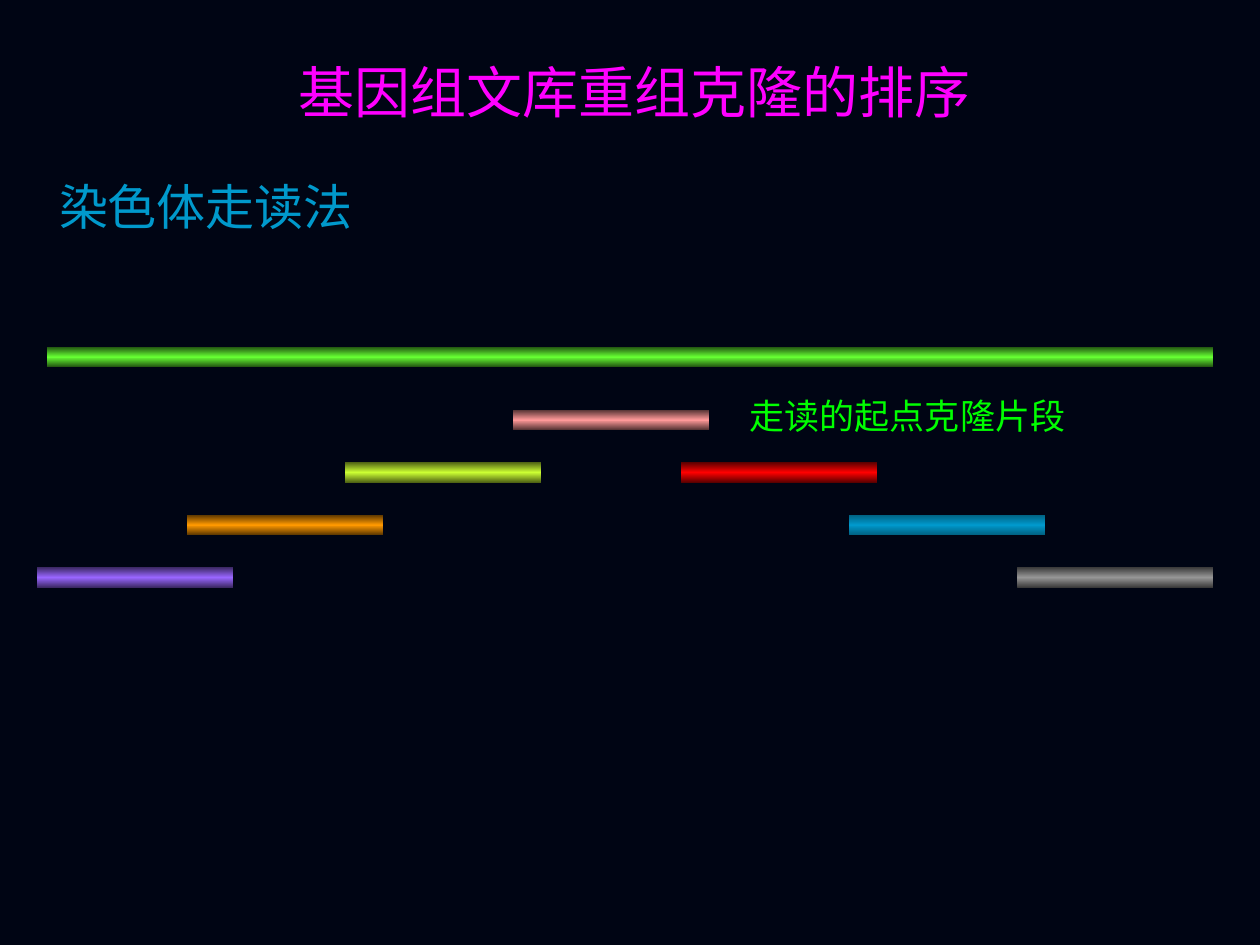
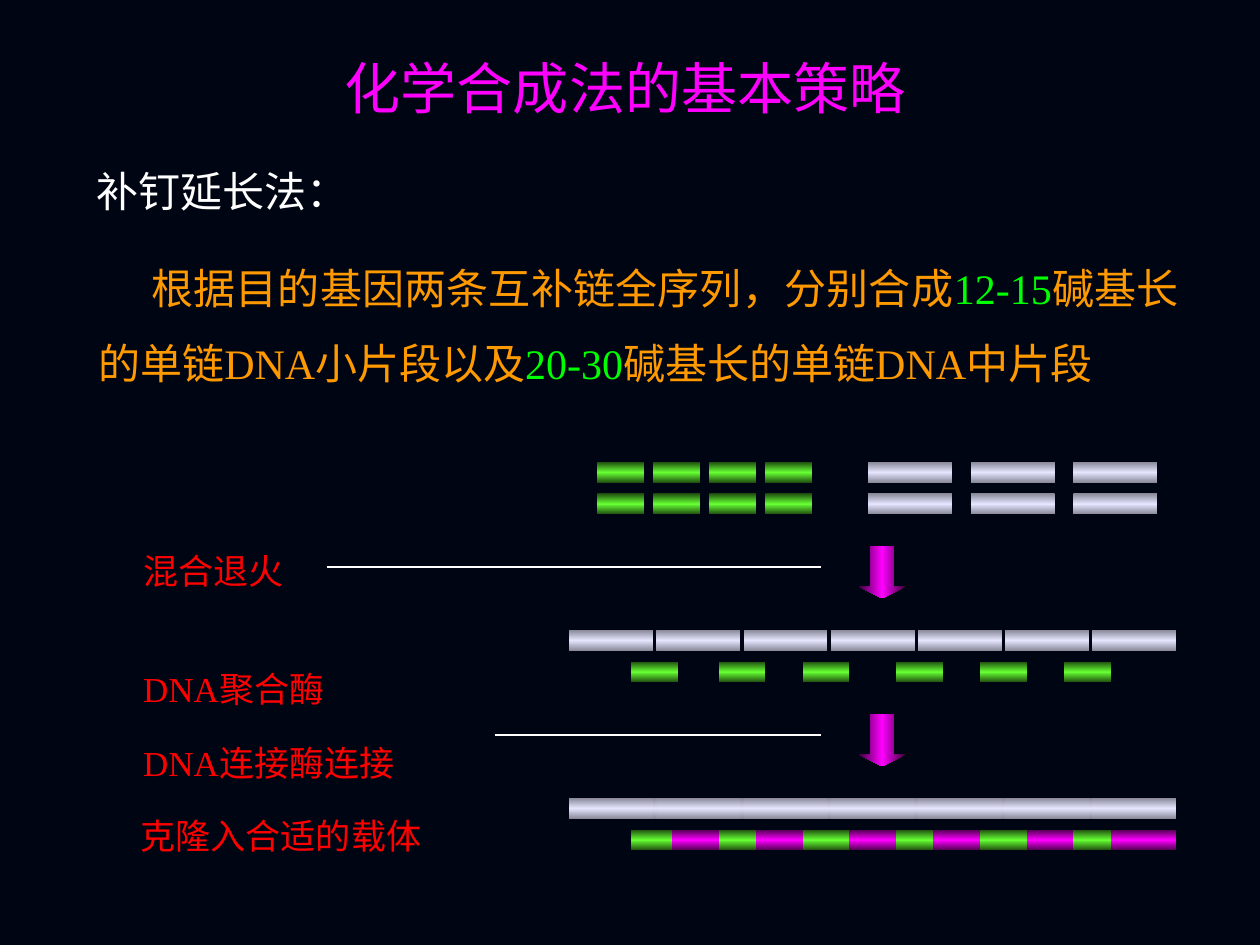
from copy import deepcopy
from dataclasses import dataclass

from lxml import etree
from pptx import Presentation, util as u
from pptx.dml.color import RGBColor
from pptx.enum import shapes, text
from pptx.oxml.ns import qn

WIDTH, HEIGHT = u.Inches(10), u.Inches(7.5)
COLUMN, ROW = WIDTH / 27, HEIGHT / 90
BAR_ROWS = 2
SANS, SERIF = "Arial", "Times New Roman"
COLORS = {
    "background": "000514", "title": "FF00FF", "heading": "0099CC", "white": "FFFFFF",
    "green": "00FF00", "orange": "FF9900", "red": "FF0000",
}
GRADIENTS = {
    "pink": ("4C2E2E", "FF9999"), "green": ("1E4C0F", "66FF33"),
    "lime": ("4B5E13", "CCFF33"), "red": ("550000", "FF0000"),
    "orange": ("553300", "FF9900"), "blue": ("005F7F", "0099CC"),
    "violet": ("38265E", "9966FF"), "gray": ("373737", "969696"),
    "silver": ("878797", "E5E5FF"), "joined": ("818190", "E5E5FF"),
    "magenta": ("4C004C", "FF00FF"), "arrow": ("3C003C", "FF00FF"),
}


@dataclass(frozen=True)
class Box:
    column: float
    row: float
    columns: float
    rows: float

    def lengths(self) -> list[int]:
        return [round(self.column * COLUMN), round(self.row * ROW),
                round(self.columns * COLUMN), round(self.rows * ROW)]


@dataclass(frozen=True)
class Strand:
    gradient: str
    row: float
    starts: list[float]
    columns: float


@dataclass(frozen=True)
class Step:
    label: str
    box: Box


def color(name: str) -> RGBColor:
    return RGBColor.from_string(COLORS[name])


def add_slide(presentation):
    slide = presentation.slides.add_slide(presentation.slide_layouts[6])
    slide.background.fill.solid()
    slide.background.fill.fore_color.rgb = color("background")
    return slide


def add_text(slide, box: Box, *runs: tuple[str, str], size: float, font: str,
             spacing: float = 1.5, align=text.PP_ALIGN.LEFT, indent: float = 0) -> None:
    frame = slide.shapes.add_textbox(*box.lengths()).text_frame
    frame.word_wrap = True
    paragraph = frame.paragraphs[0]
    paragraph.alignment, paragraph.line_spacing = align, spacing
    if indent:
        paragraph._p.get_or_add_pPr().set("indent", str(u.Inches(indent)))
    for words, name in runs:
        run = paragraph.add_run()
        run.text = words
        run.font.size, run.font.name = u.Pt(size), font
        run.font.color.rgb = color(name)


def add_title(slide, words: str, box: Box, spacing: float) -> None:
    add_text(slide, box, (words, "title"), size=32, font=SANS,
             spacing=spacing, align=text.PP_ALIGN.CENTER)


def add_gradient_shape(slide, box: Box, gradient: str, angle: float = 90,
                       kind=shapes.MSO_SHAPE.RECTANGLE):
    shape = slide.shapes.add_shape(kind, *box.lengths())
    shape.shadow.inherit = False
    shape.line.fill.background()
    shape.fill.gradient()
    shape.fill.gradient_angle = angle
    edge, core = GRADIENTS[gradient]
    stop_list = shape._element.spPr.find(qn("a:gradFill")).find(qn("a:gsLst"))
    stop_list.append(deepcopy(stop_list[-1]))
    for stop, position, value in zip(shape.fill.gradient_stops, (0, 0.5, 1), (edge, core, edge)):
        stop.position = position
        stop.color.rgb = RGBColor.from_string(value)
    return shape


def add_strand(slide, strand: Strand) -> None:
    for start in strand.starts:
        add_gradient_shape(slide, Box(start, strand.row, strand.columns, BAR_ROWS), strand.gradient)


def add_arrow(slide, row: float) -> None:
    arrow = add_gradient_shape(slide, Box(18.4, row, 1, 5), "arrow", 0,
                               shapes.MSO_SHAPE.DOWN_ARROW)
    arrow.adjustments[0], arrow.adjustments[1] = 0.5, 0.25


def add_rule(slide, start: float, end: float, row: float) -> None:
    rule = slide.shapes.add_connector(
        shapes.MSO_CONNECTOR.STRAIGHT, round(start * COLUMN), round(row * ROW),
        round(end * COLUMN), round(row * ROW))
    rule.line.color.rgb = color("white")
    rule.line.width = u.Pt(0.75)
    etree.SubElement(rule._element.spPr, qn("a:effectLst"))


def evenly(first: float, pitch: float, count: int) -> list[float]:
    return [first + pitch * index for index in range(count)]


def build_walking(presentation) -> None:
    slide = add_slide(presentation)
    add_title(slide, "基因组文库重组克隆的排序", Box(2.6, 4.9, 22, 9), 1)
    add_text(slide, Box(1, 13.4, 18.8, 9.2), ("染色体走读法", "heading"), size=28, font=SANS)
    add_text(slide, Box(15.8, 35, 7.6, 7), ("走读的起点克隆片段", "green"), size=20, font=SANS)
    add_strand(slide, Strand("green", 33, [1], 25))
    clones = [("pink", 11, 0), ("lime", 7.4, 1), ("red", 14.6, 1), ("orange", 4, 2),
              ("blue", 18.2, 2), ("violet", 0.8, 3), ("gray", 21.8, 3)]
    for gradient, start, level in clones:
        add_strand(slide, Strand(gradient, 39 + 5 * level, [start], 4.2))


def build_synthesis(presentation) -> None:
    slide = add_slide(presentation)
    add_title(slide, "化学合成法的基本策略", Box(6.4, 1.3, 14, 11), 1.5)
    add_text(slide, Box(1.8, 12.8, 6.2, 9.2), ("补钉延长法：", "white"), size=24, font=SERIF)
    add_text(slide, Box(1.84, 22, 23.68, 17),
             ("根据目的基因两条互补链全序列，分别合成", "orange"), ("12-15", "green"),
             ("碱基长的单链DNA小片段以及", "orange"), ("20-30", "green"),
             ("碱基长的单链DNA中片段", "orange"),
             size=24, font=SERIF, align=text.PP_ALIGN.JUSTIFY, indent=0.42)

    steps = [
        Step("混合退火", Box(2.8, 49.7, 3.8, 9.2)),
        Step("DNA聚合酶", Box(2.8, 61, 5.6, 9.2)),
        Step("DNA连接酶连接", Box(2.8, 68, 7.6, 9.2)),
        Step("克隆入合适的载体", Box(2.75, 75, 7.2, 9.2)),
    ]
    for step in steps:
        add_text(slide, step.box, (step.label, "red"), size=20, font=SERIF)

    long_starts = evenly(12.2, 11.2 / 6, 7)
    short_starts = [13.53, 15.4, 17.2, 19.2, 21, 22.8]
    strands = [Strand("joined", 76, [12.2, 13.1, *evenly(14, 1, 10)], 1)]
    for row in (44, 47):
        strands += [Strand("green", row, evenly(12.8, 1.2, 4), 1),
                    Strand("silver", row, evenly(18.6, 2.2, 3), 1.8)]
    for row in (60, 76):
        strands += [Strand("silver", row, long_starts, 1.8),
                    Strand("green", row + 3, short_starts, 1)]
    strands += [Strand("magenta", 79, [14.4, 16.2, 18.2, 20, 22], 1),
                Strand("magenta", 79, [23.8], 1.4)]
    for strand in strands:
        add_strand(slide, strand)

    for rule_start, row in ((7, 52), (10.6, 68)):
        add_rule(slide, rule_start, 17.6, row + 2)
        add_arrow(slide, row)


def main() -> None:
    presentation = Presentation()
    presentation.slide_width, presentation.slide_height = WIDTH, HEIGHT
    build_walking(presentation)
    build_synthesis(presentation)
    presentation.save("out.pptx")


if __name__ == "__main__":
    main()
